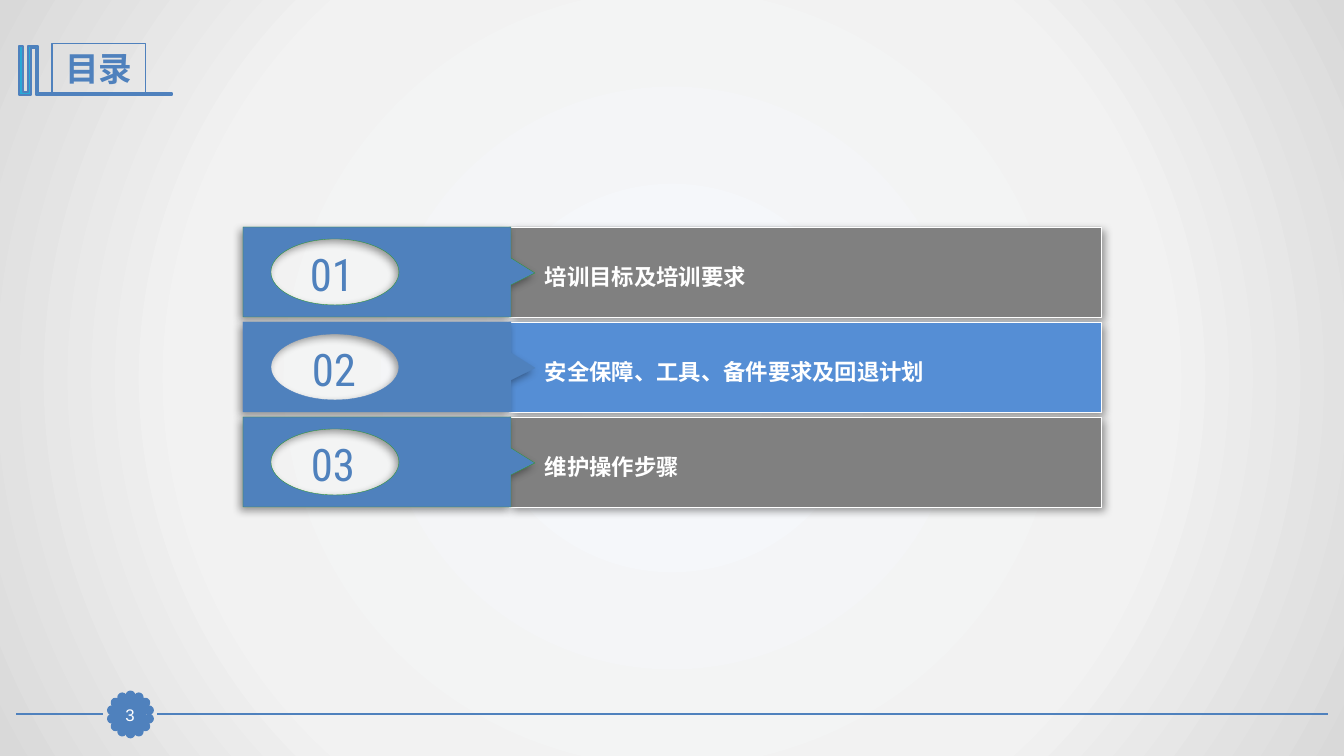
import math
from dataclasses import dataclass

import lxml.etree
import pptx
import pptx.dml.color
import pptx.enum.shapes
import pptx.enum.text
import pptx.oxml.ns
import pptx.util

PX_PER_INCH = 100.8
qn = pptx.oxml.ns.qn
SHAPES = pptx.enum.shapes.MSO_SHAPE
ANCHOR = pptx.enum.text.MSO_ANCHOR
ALIGN = pptx.enum.text.PP_ALIGN
AUTO_SIZE = pptx.enum.text.MSO_AUTO_SIZE


@dataclass(frozen=True)
class Theme:
    blue: str = "4F81BD"
    highlight: str = "558ED5"
    gray: str = "808080"
    white: str = "FFFFFF"
    green: str = "339933"
    books: str = "28A9D6"
    shadow: str = "000000"
    backdrop: tuple = ((0, "F6F9FC"), (63, "F2F2F2"), (100, "D9D9D9"))
    display_font: str = "Roboto Condensed"
    body_font: str = "Arial"
    title_size: int = 24
    number_size: int = 32
    topic_size: int = 16
    page_size: int = 12


THEME = Theme()


def px(length):
    return pptx.util.Inches(length / PX_PER_INCH)


def rgb(color):
    return pptx.dml.color.RGBColor.from_string(color)


def add_xml(parent, tag, **attributes):
    values = {name: str(value) for name, value in attributes.items()}
    return lxml.etree.SubElement(parent, qn(tag), values)


def paint_backdrop(slide):
    """Fill the background with a gradient that spreads from the centre."""
    slide.background.fill.gradient()
    gradient = slide.element.find(".//" + qn("a:gradFill"))
    for child in list(gradient):
        gradient.remove(child)
    stops = add_xml(gradient, "a:gsLst")
    for position, color in THEME.backdrop:
        stop = add_xml(stops, "a:gs", pos=position * 1000)
        add_xml(stop, "a:srgbClr", val=color)
    circle = add_xml(gradient, "a:path", path="circle")
    add_xml(circle, "a:fillToRect", l=50000, t=50000, r=50000, b=50000)


def style(shape, fill, line, weight):
    shape.shadow.inherit = False
    if fill:
        shape.fill.solid()
        shape.fill.fore_color.rgb = rgb(fill)
    else:
        shape.fill.background()
    shape.line.color.rgb = rgb(line)
    shape.line.width = pptx.util.Pt(weight)
    return shape


def cast_shadow(shape, angle):
    effects = shape.element.spPr.find(qn("a:effectLst"))
    shadow = add_xml(effects, "a:outerShdw", blurRad=pptx.util.Pt(6), dist=pptx.util.Pt(3),
                     dir=angle * 60000, algn="ctr", rotWithShape=0)
    color = add_xml(shadow, "a:srgbClr", val=THEME.shadow)
    add_xml(color, "a:alpha", val=40000)


def add_preset(shapes, kind, box, fill, line, weight):
    return style(shapes.add_shape(kind, *map(px, box)), fill, line, weight)


def add_outline(shapes, contours, fill, line, weight):
    """Draw closed contours as one shape; an inner contour becomes a hole."""
    scaled = [[(px(x), px(y)) for x, y in contour] for contour in contours]
    builder = shapes.build_freeform(*scaled[0][0], scale=1.0)
    builder.add_line_segments(scaled[0][1:], close=True)
    for contour in scaled[1:]:
        builder.move_to(*contour[0])
        builder.add_line_segments(contour[1:], close=True)
    return style(builder.convert_to_shape(), fill, line, weight)


def round_first_contour(shape):
    """Turn a leading diamond, drawn from its top, into an ellipse of four curves."""
    bend = 0.5523
    outline = shape.element.find(".//" + qn("a:path"))
    steps = list(outline)[:5]
    corners = [(int(step[0].get("x")), int(step[0].get("y"))) for step in steps]
    for index, step in enumerate(steps[1:]):
        (x0, y0), (x1, y1) = corners[index:index + 2]
        if index % 2 == 0:
            controls = [(x0 + bend * (x1 - x0), y0), (x1, y1 - bend * (y1 - y0))]
        else:
            controls = [(x0, y0 + bend * (y1 - y0)), (x1 - bend * (x1 - x0), y1)]
        curve = lxml.etree.Element(qn("a:cubicBezTo"))
        for x, y in controls + [(x1, y1)]:
            add_xml(curve, "a:pt", x=round(x), y=round(y))
        outline.replace(step, curve)


def write(shape, text, font, size, color, bold=False, align=ALIGN.CENTER, anchor=ANCHOR.MIDDLE):
    frame = shape.text_frame
    frame.word_wrap = True
    frame.vertical_anchor = anchor
    paragraph = frame.paragraphs[0]
    paragraph.alignment = align
    run = paragraph.add_run()
    run.text = text
    run.font.name = font
    run.font.size = pptx.util.Pt(size)
    run.font.bold = bold
    run.font.color.rgb = rgb(color)
    return frame


def add_label(shapes, box, *content, **layout):
    label = shapes.add_textbox(*map(px, box))
    write(label, *content, **layout).auto_size = AUTO_SIZE.SHAPE_TO_FIT_TEXT


def add_rule(shapes, start, end, y):
    rule = shapes.add_connector(
        pptx.enum.shapes.MSO_CONNECTOR.STRAIGHT, px(start), px(y), px(end), px(y))
    rule.line.color.rgb = rgb(THEME.blue)
    rule.line.width = pptx.util.Pt(1.25)
    add_xml(rule.element.spPr, "a:effectLst")


def add_page_badge(shapes, page, petals=14):
    center_x, center_y, radius, size = 130.5, 714.5, 19, 7
    rosette = shapes.add_group_shape().shapes
    for index in range(petals):
        angle = math.tau * index / petals
        left = center_x + radius * math.sin(angle) - size / 2
        top = center_y - radius * math.cos(angle) - size / 2
        add_preset(rosette, SHAPES.OVAL, (left, top, size, size), THEME.blue, THEME.blue, 2)
    core = add_preset(shapes, SHAPES.RECTANGLE, (114, 699, 32, 31), THEME.blue, THEME.blue, 0.75)
    frame = write(core, page, THEME.body_font, THEME.page_size, THEME.white)
    frame.margin_left = frame.margin_right = frame.margin_top = frame.margin_bottom = 0


def add_heading(shapes, text):
    books = [(37, 46), (38, 46), (38, 93), (172, 93), (172, 95), (36, 95), (36, 48), (31, 48),
             (31, 95), (19, 95), (19, 46), (23, 46), (23, 92), (28, 92), (28, 46)]
    add_outline(shapes, [books], THEME.books, THEME.blue, 2)
    title = add_preset(shapes, SHAPES.RECTANGLE, (52, 43, 94, 51), None, THEME.blue, 0.75)
    write(title, text, THEME.display_font, THEME.title_size, THEME.blue, bold=True)


def add_agenda_row(shapes, top, number, number_left, number_width, topic, current):
    height = 90
    row = shapes.add_group_shape().shapes
    bar_fill, flag_line = (THEME.highlight, THEME.blue) if current else (THEME.gray, THEME.green)
    bar = add_preset(row, SHAPES.RECTANGLE, (509, top, 592, height), bar_fill, THEME.white, 0.25)
    cast_shadow(bar, 45)

    window = [(335, top + 12), (271, top + 45), (335, top + 78), (399, top + 45), (335, top + 12)]
    border = [(243, top), (511, top), (511, top + 31), (535, top + 46), (511, top + 58),
              (511, top + height), (243, top + height)]
    flag = add_outline(row, [window, border], THEME.blue, flag_line, 0.25)
    round_first_contour(flag)
    cast_shadow(flag, 135)

    add_label(row, (number_left, top + 14, number_width, 65), number,
              THEME.display_font, THEME.number_size, THEME.blue)
    add_label(row, (535, top + 31, 565, 37), topic, THEME.body_font, THEME.topic_size,
              THEME.white, bold=True, align=ALIGN.LEFT, anchor=ANCHOR.TOP)


def main():
    deck = pptx.Presentation()
    deck.slide_width, deck.slide_height = px(1344), px(756)
    slide = deck.slides.add_slide(deck.slide_layouts[6])
    paint_backdrop(slide)
    add_rule(slide.shapes, 1328, 157, 714)
    add_rule(slide.shapes, 103, 16, 714)
    add_heading(slide.shapes, "目录")
    add_page_badge(slide.shapes, "3")

    agenda = [(285, 94, "培训目标及培训要求"),
              (283, 102, "安全保障、工具、备件要求及回退计划"),
              (282, 102, "维护操作步骤")]
    current_topic = 2
    for position, (number_left, number_width, topic) in enumerate(agenda, start=1):
        add_agenda_row(slide.shapes, 132 + 95 * position, f"{position:02}", number_left,
                       number_width, topic, position == current_topic)
    deck.save("out.pptx")


if __name__ == "__main__":
    main()
